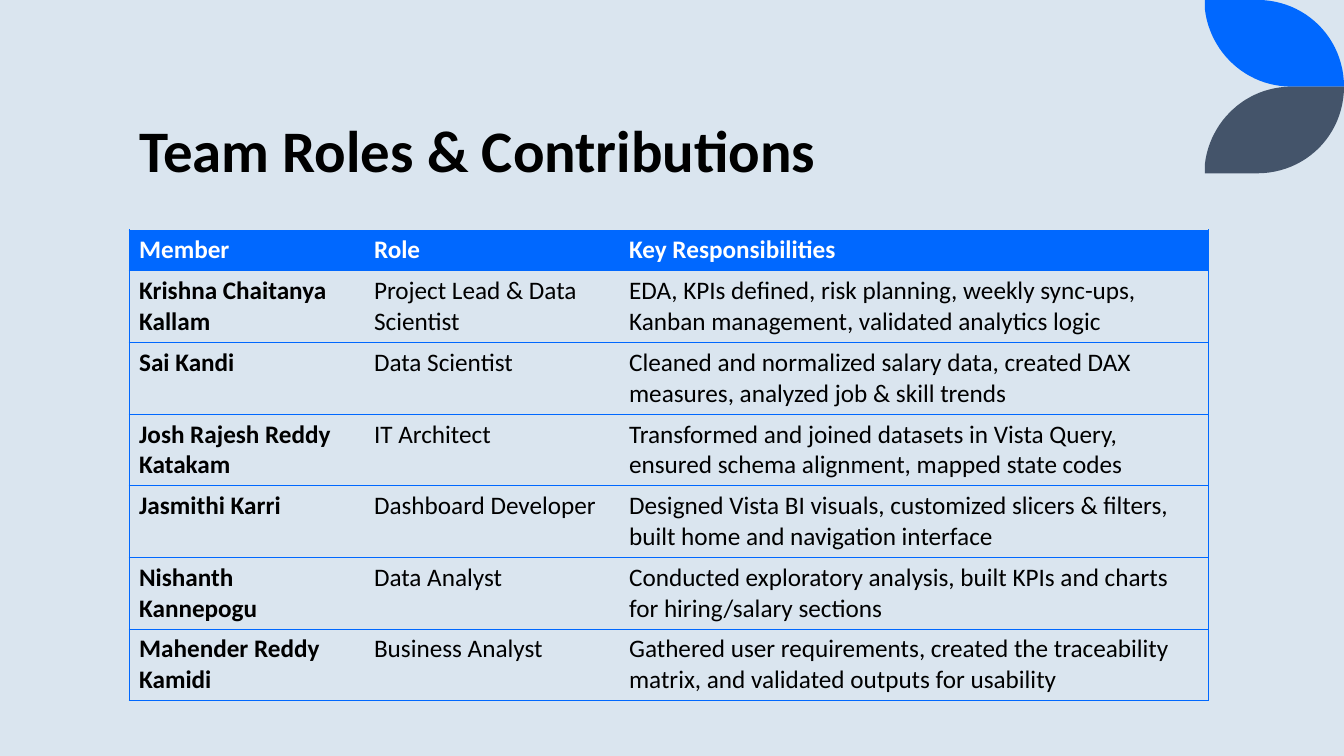
from dataclasses import dataclass

from lxml.etree import SubElement
from pptx import Presentation
from pptx.dml.color import RGBColor
from pptx.enum.text import MSO_ANCHOR, MSO_AUTO_SIZE, PP_ALIGN
from pptx.oxml.ns import qn
from pptx.util import Inches, Pt


@dataclass(frozen=True)
class Theme:
    font: str = "Calibri"
    background: str = "DAE5EF"
    blue: str = "0068FF"
    slate: str = "44546A"
    text: str = "000000"
    header_text: str = "FFFFFF"
    title_size: float = 42
    table_size: float = 18
    border: float = 0.5


THEME = Theme()
TITLE = "Team Roles & Contributions"
COLUMN_WIDTHS = (2.33, 2.53, 5.84)
HEADER_HEIGHT = 0.4
MEMBER_HEIGHT = 0.71
TEAM = [
    ("Member", "Role", "Key Responsibilities"),
    ("Krishna Chaitanya Kallam", "Project Lead & Data Scientist",
     "EDA, KPIs defined, risk planning, weekly sync-ups, "
     "Kanban management, validated analytics logic"),
    ("Sai Kandi", "Data Scientist",
     "Cleaned and normalized salary data, created DAX "
     "measures, analyzed job & skill trends"),
    ("Josh Rajesh Reddy Katakam", "IT Architect",
     "Transformed and joined datasets in Vista Query, "
     "ensured schema alignment, mapped state codes"),
    ("Jasmithi Karri", "Dashboard Developer",
     "Designed Vista BI visuals, customized slicers & filters, "
     "built home and navigation interface"),
    ("Nishanth Kannepogu", "Data Analyst",
     "Conducted exploratory analysis, built KPIs and charts "
     "for hiring/salary sections"),
    ("Mahender Reddy Kamidi", "Business Analyst",
     "Gathered user requirements, created the traceability "
     "matrix, and validated outputs for usability"),
]
LEAF_HEIGHT = 0.86
LEAF_CURVES = (
    ((12.47, 0), (12.95, 0), (13.33, 0.38), (13.33, 0.86)),
    ((12.81, 0.86), (12.36, 0.86), (12, 0.52), (11.95, 0.09)),
)


def add_run(p, text, size, color, bold):
    r = p.add_run()
    r.text = text
    r.font.name = THEME.font
    r.font.size = Pt(size)
    r.font.bold = bold
    r.font.color.rgb = RGBColor.from_string(color)


def add_title(s):
    sp = s.shapes.title
    sp.left, sp.top = Inches(1.28), Inches(0.15)
    sp.width, sp.height = Inches(10.69), Inches(1.72)
    tf = sp.text_frame
    tf.word_wrap = True
    tf.auto_size = MSO_AUTO_SIZE.NONE
    tf.vertical_anchor = MSO_ANCHOR.BOTTOM
    p = tf.paragraphs[0]
    p.alignment = PP_ALIGN.LEFT
    p.line_spacing = 0.8
    add_run(p, TITLE, THEME.title_size, THEME.text, True)


def curve_points(curve, steps=24):
    for i in range(steps + 1):
        t = i / steps
        weights = ((1 - t) ** 3, 3 * t * (1 - t) ** 2, 3 * t ** 2 * (1 - t), t ** 3)
        yield tuple(sum(w * pt[axis] for w, pt in zip(weights, curve)) for axis in (0, 1))


def add_leaf(s, color, mirrored):
    points = [(11.95, 0)] + [pt for curve in LEAF_CURVES for pt in curve_points(curve)]
    if mirrored:
        points = [(x, 2 * LEAF_HEIGHT - y) for x, y in points]
    outline = [(Inches(x), Inches(y)) for x, y in points]
    builder = s.shapes.build_freeform(*outline[0])
    builder.add_line_segments(outline[1:], close=True)
    sp = builder.convert_to_shape()
    sp.shadow.inherit = False
    sp.fill.solid()
    sp.fill.fore_color.rgb = RGBColor.from_string(color)
    sp.line.fill.background()


def set_borders(cell, first, last):
    tc_pr = cell._tc.get_or_add_tcPr()
    visible = {"a:lnL": first, "a:lnR": last, "a:lnT": True, "a:lnB": True}
    for tag, shown in visible.items():
        ln = SubElement(tc_pr, qn(tag), w=str(Pt(THEME.border)))
        if shown:
            fill = SubElement(ln, qn("a:solidFill"))
            SubElement(fill, qn("a:srgbClr"), val=THEME.blue)
        else:
            SubElement(ln, qn("a:noFill"))


def format_cell(cell, text, row, col):
    header = row == 0
    set_borders(cell, col == 0, col == len(COLUMN_WIDTHS) - 1)
    if header:
        cell.fill.solid()
        cell.fill.fore_color.rgb = RGBColor.from_string(THEME.blue)
    else:
        cell.fill.background()
    color = THEME.header_text if header else THEME.text
    add_run(cell.text_frame.paragraphs[0], text, THEME.table_size, color,
            header or col == 0)


def add_team_table(s):
    height = HEADER_HEIGHT + MEMBER_HEIGHT * (len(TEAM) - 1)
    frame = s.shapes.add_table(len(TEAM), len(COLUMN_WIDTHS), Inches(1.28), Inches(2.28),
                               Inches(sum(COLUMN_WIDTHS)), Inches(height))
    table = frame.table
    table.horz_banding = False
    for column, width in zip(table.columns, COLUMN_WIDTHS):
        column.width = Inches(width)
    for row, texts in enumerate(TEAM):
        table.rows[row].height = Inches(MEMBER_HEIGHT if row else HEADER_HEIGHT)
        for col, text in enumerate(texts):
            format_cell(table.cell(row, col), text, row, col)


def main():
    prs = Presentation()
    prs.slide_width, prs.slide_height = Inches(13.33), Inches(7.5)
    s = prs.slides.add_slide(prs.slide_layouts[5])
    s.background.fill.solid()
    s.background.fill.fore_color.rgb = RGBColor.from_string(THEME.background)
    add_leaf(s, THEME.blue, mirrored=False)
    add_leaf(s, THEME.slate, mirrored=True)
    add_title(s)
    add_team_table(s)
    prs.save("out.pptx")


if __name__ == "__main__":
    main()
